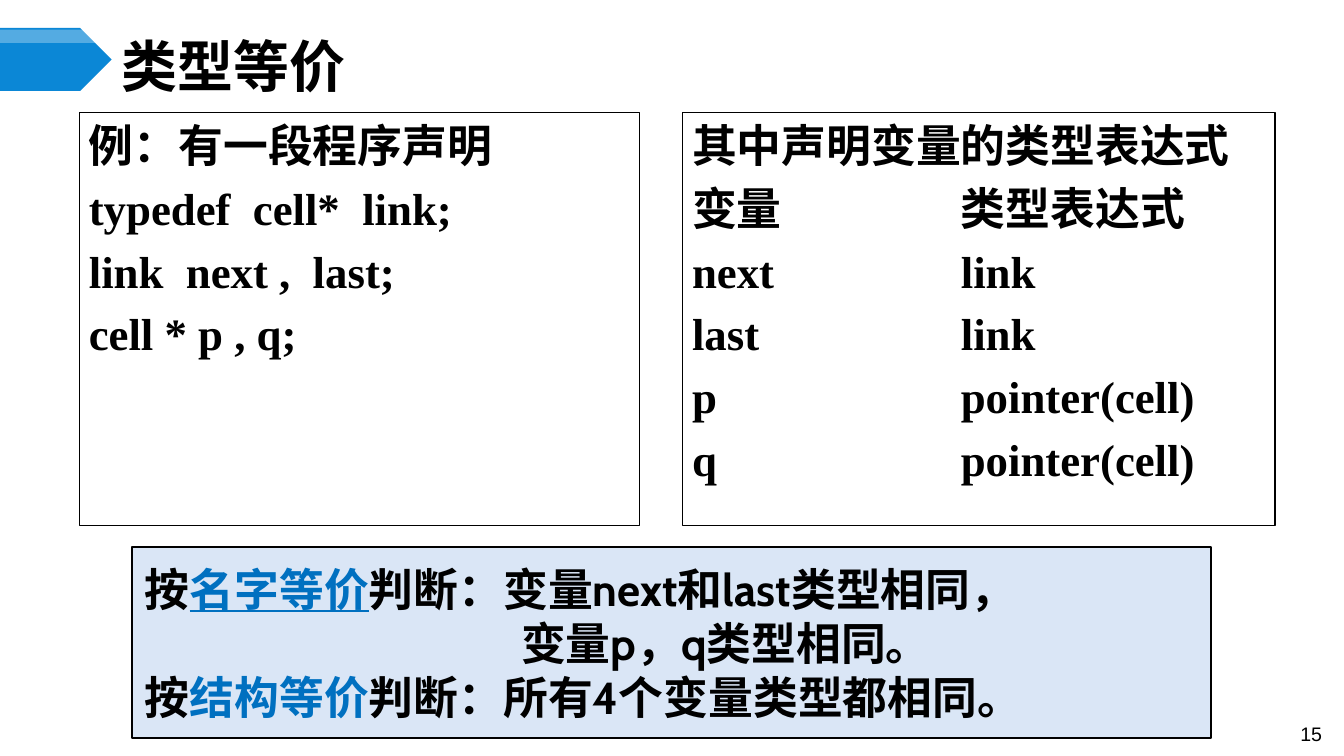
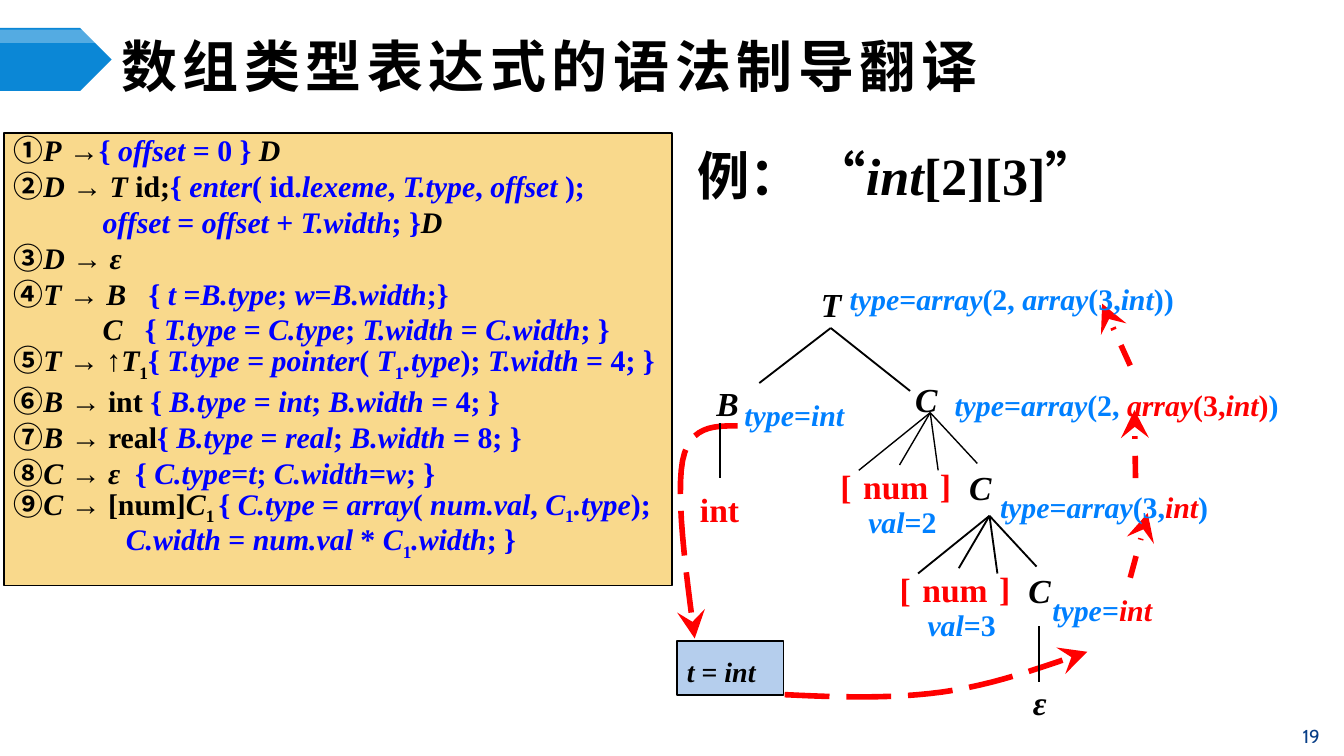
from collections import namedtuple
from dataclasses import dataclass, replace

from lxml import etree
from pptx import Presentation
from pptx import util as u
from pptx.dml.color import RGBColor
from pptx.enum import dml, shapes, text
from pptx.oxml import ns

Box = namedtuple("Box", "x y w h")
MARKS = {"_": "italic", "|": "accent", "~": "subscript", "^": "underline", "`": "cjk"}
SERIF, SANS, CJK = "Times New Roman", "Cabin", "Noto Sans CJK SC"
BLACK, WHITE, RED = "000000", "FFFFFF", "FF0000"
BLUE, SKY, NAVY, LINK = "0000FF", "0080FF", "073E87", "0070C0"
PLATE, PALE, SAND, STEEL = "0B87D6", "DAE6F6", "F9D98C", "B5CEED"
NONE, TIGHT, ROOMY = (0, 0), (0.18, 0.1), (0.25, 0.13)
TOP, MIDDLE = text.MSO_ANCHOR.TOP, text.MSO_ANCHOR.MIDDLE


@dataclass
class Style:
    size: float
    face: str = SERIF
    asian: str = SERIF
    color: str = BLACK
    accent: str = BLACK
    bold: bool = True
    before: float = 0
    leading: float = 0
    tracking: int = 0
    centred: bool = False
    tabs: tuple = ()


TITLE = Style(30, asian=CJK)
CODE = Style(24, asian=CJK, before=4.8, leading=28.8, tabs=(2.54, 5.08))
VERDICT = Style(24, SANS, SANS, accent=LINK)
GRAMMAR = Style(16, accent=BLUE, before=3.2, leading=16)
LABEL = Style(16, color=SKY, accent=RED, leading=18)
NODE = Style(18, accent=RED, centred=True)
NUMBER = Style(10.5, "Arial", bold=False, centred=True)


def rgb(value):
    return RGBColor.from_string(value)


def set_face(font, face, asian):
    font.name = face
    etree.SubElement(font._element, ns.qn("a:ea"), typeface=asian)


def split_marks(line):
    active, piece = set(), ""
    for char in line:
        if char in MARKS:
            if piece:
                yield piece, set(active)
            active ^= {MARKS[char]}
            piece = ""
        else:
            piece += char
    if piece:
        yield piece, active


def add_spans(para, line, style):
    for piece, active in split_marks(line):
        span = para.add_run()
        span.text = piece
        if "italic" in active:
            span.font.italic = True
        if "underline" in active:
            span.font.underline = True
        if "accent" in active:
            span.font.color.rgb = rgb(style.accent)
        if "cjk" in active:
            set_face(span.font, CJK, CJK)
        if "subscript" in active:
            span.font._element.set("baseline", "-25000")


def write(shape, lines, style, inset=TIGHT, anchor=TOP):
    frame = shape.text_frame
    frame.word_wrap = True
    frame.auto_size = text.MSO_AUTO_SIZE.NONE
    frame.vertical_anchor = anchor
    frame.margin_left = frame.margin_right = u.Cm(inset[0])
    frame.margin_top = frame.margin_bottom = u.Cm(inset[1])
    for index, line in enumerate(lines):
        indent, line = line if isinstance(line, tuple) else (0, line)
        para = frame.paragraphs[0] if index == 0 else frame.add_paragraph()
        para.alignment = text.PP_ALIGN.CENTER if style.centred else text.PP_ALIGN.LEFT
        if style.leading:
            para.line_spacing = u.Pt(style.leading)
        if index and style.before:
            para.space_before = u.Pt(style.before)
        props = para._p.get_or_add_pPr()
        if indent:
            props.set("marL", str(u.Cm(indent)))
        if style.tabs:
            stops = etree.SubElement(props, ns.qn("a:tabLst"))
            for stop in style.tabs:
                etree.SubElement(stops, ns.qn("a:tab"), pos=str(u.Cm(stop)), algn="l")
        font = para.font
        font.size, font.bold = u.Pt(style.size), style.bold
        font.color.rgb = rgb(style.color)
        set_face(font, style.face, style.asian)
        if style.tracking:
            font._element.set("spc", str(style.tracking * 100))
        add_spans(para, line, style)


def add_text(page, box, lines, style, **layout):
    shape = page.shapes.add_textbox(*map(u.Cm, box))
    write(shape, lines, style, **layout)


def add_panel(page, box, fill, width=0, kind=shapes.MSO_SHAPE.RECTANGLE):
    panel = page.shapes.add_shape(kind, *map(u.Cm, box))
    panel.shadow.inherit = False
    panel.fill.solid()
    panel.fill.fore_color.rgb = rgb(fill)
    if width:
        panel.line.color.rgb = rgb(BLACK)
        panel.line.width = u.Pt(width)
    else:
        panel.line.fill.background()
    return panel


def flow(line, dash):
    line.color.rgb = rgb(RED)
    line.width = u.Pt(3)
    line.dash_style = dash
    etree.SubElement(line._get_or_add_ln(), ns.qn("a:tailEnd"), type="stealth", w="lg", len="lg")


def add_line(page, box, start, end, width=1):
    x1, y1, x2, y2 = (u.Cm(v) for v in (box.x + start[0], box.y + start[1],
                                        box.x + end[0], box.y + end[1]))
    line = page.shapes.add_connector(shapes.MSO_CONNECTOR.STRAIGHT, x1, y1, x2, y2)
    line.line.color.rgb = rgb(BLACK)
    line.line.width = u.Pt(width)
    etree.SubElement(line._element.spPr, ns.qn("a:effectLst"))
    return line


def bezier(points, steps=12):
    yield points[0]
    for first in range(0, len(points) - 1, 3):
        a, b, c, d = points[first:first + 4]
        for step in range(1, steps + 1):
            t = step / steps
            s = 1 - t
            yield tuple(s**3 * a[i] + 3 * s * s * t * b[i] + 3 * s * t * t * c[i] + t**3 * d[i]
                        for i in (0, 1))


def add_curve(page, box, points):
    track = [(u.Cm(box.x + x), u.Cm(box.y + y)) for x, y in bezier(points)]
    builder = page.shapes.build_freeform(*track[0])
    builder.add_line_segments(track[1:], close=False)
    curve = builder.convert_to_shape()
    curve.shadow.inherit = False
    curve.fill.background()
    flow(curve.line, dml.MSO_LINE.LONG_DASH)


def add_frame(deck, title, number, title_style=TITLE, number_style=NUMBER, number_anchor=TOP):
    page = deck.slides.add_slide(deck.slide_layouts[6])
    pentagon = shapes.MSO_SHAPE.PENTAGON
    add_panel(page, Box(0, 0.53, 2.11, 1.19), PLATE, kind=pentagon)
    gloss = add_panel(page, Box(0, 0.56, 2.11, 0.25), WHITE, kind=pentagon)
    tint = gloss._element.spPr.find(".//" + ns.qn("a:srgbClr"))
    etree.SubElement(tint, ns.qn("a:alpha"), val="30000")
    add_text(page, Box(2.11, 0.74, 22.5, 0.99), [title], title_style, anchor=MIDDLE)
    add_text(page, Box(24.21, 13.54, 1.14, 0.76), [number], number_style, anchor=number_anchor)
    return page


def add_declarations(page, box):
    code = ["例：有一段程序声明", "typedef  cell*  link;", "link  next ,  last;", "cell * p , q;"]
    rows = [("变量", "类型表达式"), ("next", "link"), ("last", "link"),
            ("p", "pointer(cell)"), ("q", "pointer(cell)")]
    table = ["其中声明变量的类型表达式"] + ["\t\t".join(row) for row in rows]
    right = 11.2
    for x, w, lines in ((box.x, 10.59, code), (box.x + box.w - right, right, table)):
        write(add_panel(page, Box(x, box.y, w, box.h), WHITE, 0.75), lines, CODE)


def add_verdict(page, box):
    lines = ["按|^名字等价^|判断：变量next和last类型相同，",
             (7.11, "变量p，q类型相同。"),
             "按|结构等价|判断：所有4个变量类型都相同。"]
    write(add_panel(page, box, PALE, 1.25), lines, VERDICT, inset=ROOMY, anchor=MIDDLE)


def add_grammar(page, box):
    lines = [
        "`①`_P_ →|{ _offset_ = 0 } |_D_",
        "`②`_D_ → _T_ id;|{ _enter_( id._lexeme_, _T.type_, _offset_ );",
        (1.68, "|_offset_ = _offset_ + _T.width_; }|_D_"),
        "`③`_D_ → _ε_",
        "`④`_T_ → _B   _|{ _t _=_B.type_; _w_=_B.width_;}",
        (1.68, "_C   _|{ _T.type_ = _C.type_; _T.width _= _C.width_; }"),
        "`⑤`_T_ → ↑_T_~1~|{ _T.type_ = _pointer_( _T_~1~_.type_); _T.width_ = 4; }",
        "`⑥`_B_ → int |{ _B.type_ = _int_; _B.width_ = 4; }",
        "`⑦`_B_ → real|{ _B.type_ = _real_; _B.width_ = 8; }",
        "`⑧`_C_ →_ ε  _|{ _C.type_=_t_; _C.width_=_w_; }",
        "`⑨`_C_ → [num]_C_~1 ~|{ _C.type_ = _array_( _num.val_, _C_~1~_.type_);",
        (2.12, "|_C.width_ = _num.val_ * _C_~1~_.width_; }"),
    ]
    write(add_panel(page, box, SAND, 1), lines, GRAMMAR)


def add_node(page, box, x, y, label):
    spot = Box(box.x + x - 0.75, box.y + y - 0.38, 1.5, 0.76)
    add_text(page, spot, [label], NODE, inset=NONE, anchor=MIDDLE)


def add_label(page, box, x, y, w, h, label):
    add_text(page, Box(box.x + x, box.y + y, w, h), [label], LABEL, anchor=MIDDLE)


def add_dimension(page, box, size, width):
    for end in ((3.43, 3.69), (4.2, 3.59), (4.93, 3.69), (5.67, 3.56)):
        add_line(page, box, (4.78, 2.6), end, width)
    for x, y, label in ((3.19, 3.98, "|["), (4.13, 3.98, "|num"),
                        (5.07, 3.97, "|]"), (5.73, 4.01, "_C")):
        add_node(page, box, x, y, label)
    add_label(page, box, 3.43, 4.2, 1.8, 0.97, f"_val_={size}")


def add_tree(page, box):
    for x, y, label in ((2.91, 0.54, "_T"), (0.95, 2.42, "_B"), (4.71, 2.34, "_C"),
                        (0.8, 4.43, "|int"), (6.85, 8.08, "_ε")):
        add_node(page, box, x, y, label)
    for start, end in (((2.9, 1), (1.55, 2.04)), ((2.9, 1), (4.4, 2.19)),
                       ((0.81, 2.8), (0.81, 3.84)), ((6.83, 6.64), (6.83, 7.7))):
        add_line(page, box, start, end)
    add_dimension(page, box, 2, 0.75)
    add_dimension(page, box._replace(x=box.x + 1.12, y=box.y + 1.95), 3, 1)
    for label in ((1.09, 2.17, 2.39, 0.97, "_type_=_int_"),
                  (5.06, 2.09, 6.9, 0.76, "_type_=_array_(2, |_array_(3,_int_)|)"),
                  (6.91, 5.85, 2.39, 0.97, "_type_=|_int_"),
                  (5.92, 3.92, 4.8, 0.97, "_type_=_array_(3,|_int_|)"),
                  (3.08, 0.08, 6.9, 0.76, "_type_=_array_(2, _array_(3,_int_))")):
        add_label(page, box, *label)


def add_flow(page, box):
    store = add_panel(page, Box(box.x, box.y + 6.92, 2.01, 1.02), STEEL, 1)
    write(store, ["_t_ = _int_"], Style(15, leading=22.5))
    add_curve(page, box, [(1.14, 2.85), (0.69, 2.85), (0.23, 2.85), (0.1, 3.51),
                          (-0.02, 4.2), (0.15, 5.52), (0.33, 6.87)])
    add_curve(page, box, [(2.03, 7.93), (3.05, 7.98), (4.07, 8.01), (5.01, 7.88),
                          (5.97, 7.75), (6.86, 7.42), (7.75, 7.12)])
    for start, end in (((8.56, 5.72), (8.89, 4.5)), ((8.66, 3.84), (8.64, 2.55)),
                       ((8.56, 1.71), (8.03, 0.54))):
        flow(add_line(page, box, start, end).line, dml.MSO_LINE.DASH)


def equivalence_slide(deck):
    page = add_frame(deck, "类型等价", "15")
    add_declarations(page, Box(1.5, 2.13, 22.6, 7.8))
    add_verdict(page, Box(2.49, 10.34, 20.4, 3.61))


def translation_slide(deck):
    page = add_frame(deck, "数组类型表达式的语法制导翻译", "19",
                     replace(TITLE, face=CJK, tracking=3),
                     replace(NUMBER, size=10, face=SANS, color=NAVY), MIDDLE)
    tree = Box(12.8, 5.2, 12.4, 8.6)
    add_flow(page, tree)
    add_grammar(page, Box(0.08, 2.51, 12.62, 8.56))
    add_tree(page, tree)
    add_text(page, Box(12.93, 2.57, 10.49, 1.45), ["`例： `“_int_[2][3]”"],
             Style(28, asian=CJK), inset=ROOMY)


def main():
    deck = Presentation()
    deck.slide_width, deck.slide_height = u.Cm(25.4), u.Cm(14.29)
    equivalence_slide(deck)
    translation_slide(deck)
    deck.save("out.pptx")


if __name__ == "__main__":
    main()
